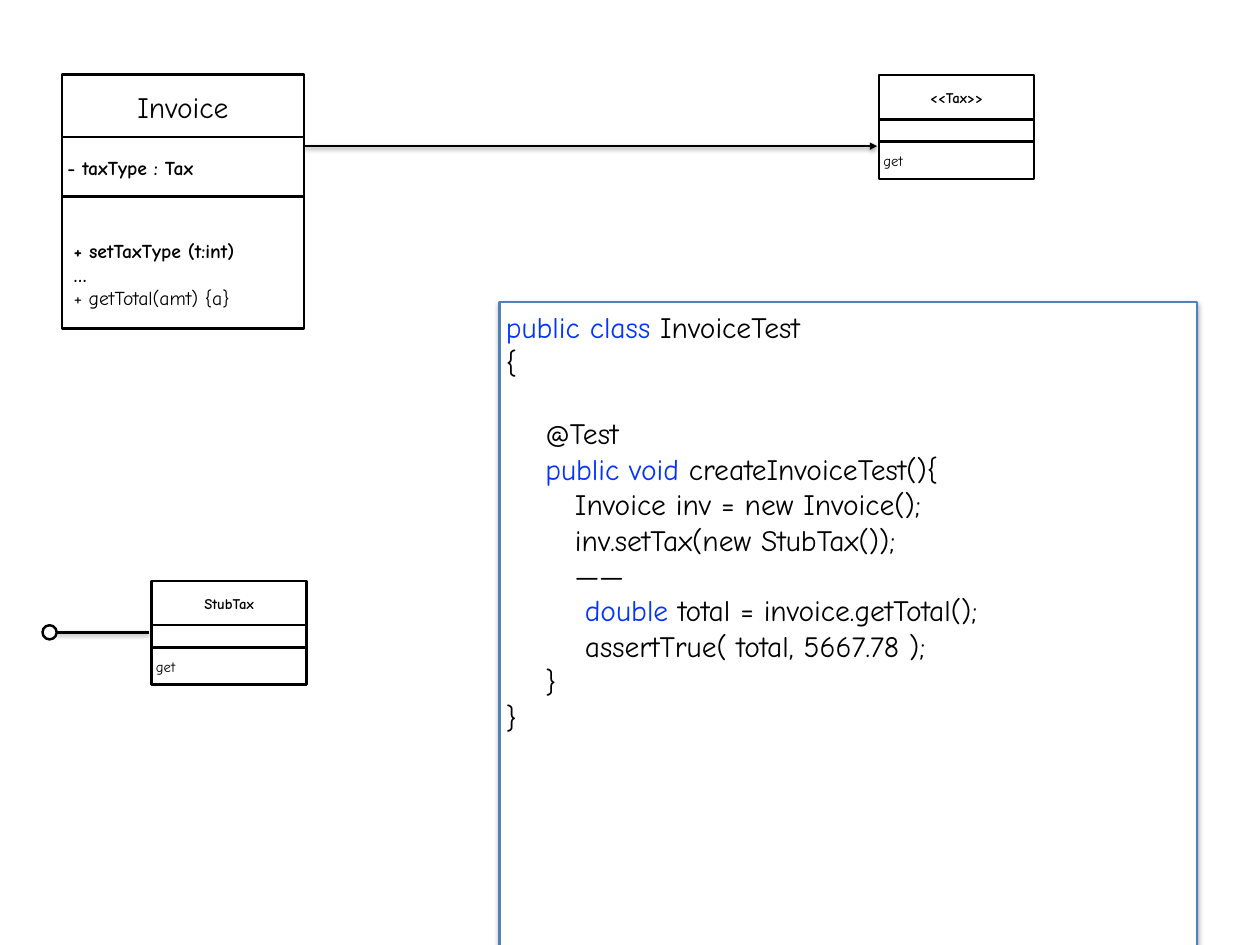
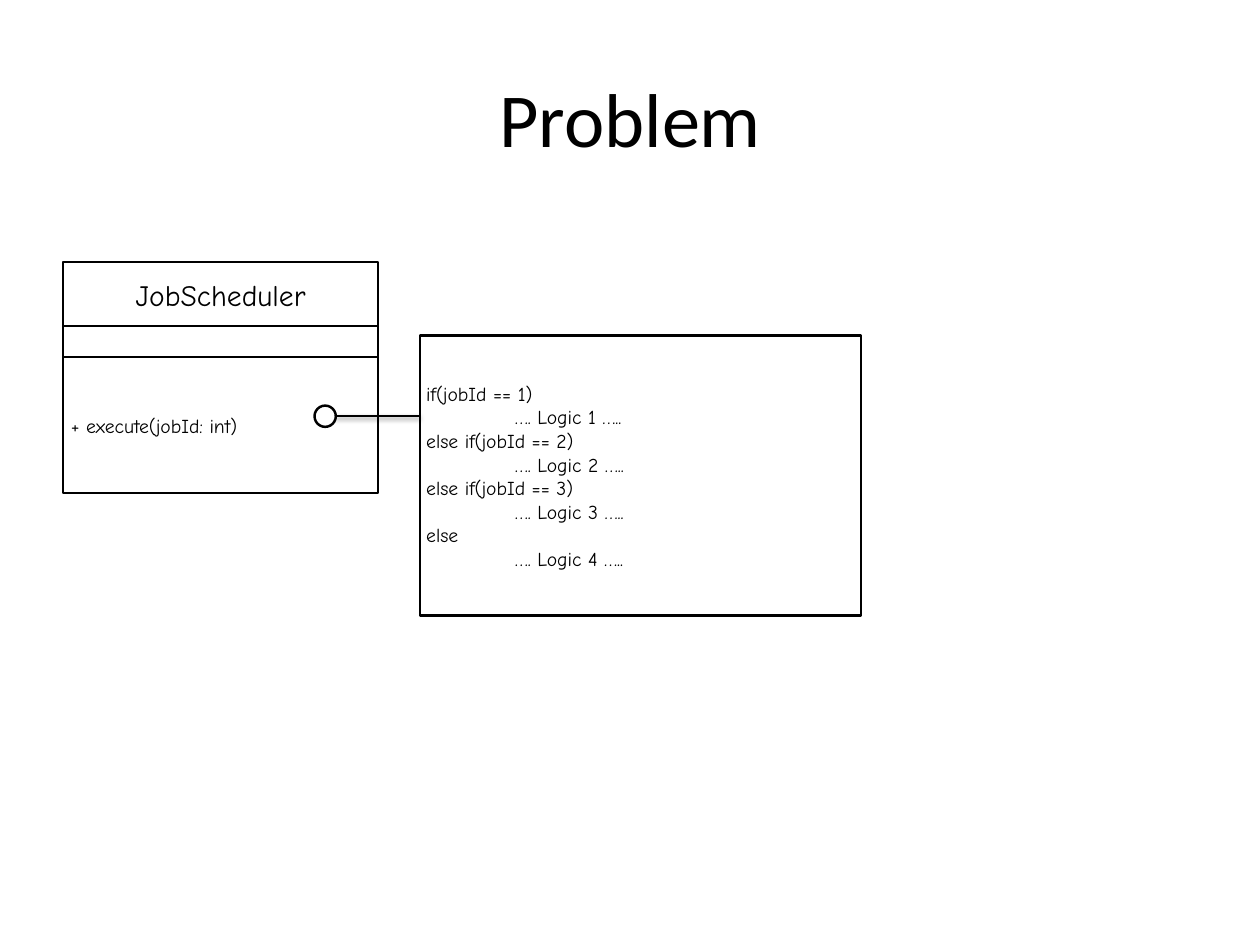
from collections import namedtuple

from pptx import Presentation
from pptx.dml.color import RGBColor
from pptx.enum.shapes import MSO_CONNECTOR, MSO_SHAPE
from pptx.enum.text import MSO_ANCHOR, PP_ALIGN
from pptx.oxml.ns import qn
from pptx.oxml.xmlchemy import OxmlElement
from pptx.util import Inches, Pt

BLACK, WHITE = "000000", "FFFFFF"
KEYWORD_BLUE, PANEL_BLUE = "0433FF", "4F81BD"
DIAGRAM_FONT, TITLE_FONT = "Comic Neue", "Calibri"
STROKE = Pt(2)
CODE_LINE = Pt(28.8)

Span = namedtuple("Span", "text color bold", defaults=(BLACK, False))
Row = namedtuple("Row", "height lines size inset_left inset_top",
                 defaults=((), 12, 0.06, 0.07))

TEST_CODE = [
    [Span("public class", KEYWORD_BLUE), Span(" InvoiceTest")],
    [Span("{")],
    [Span("    @Test")],
    [Span("    "), Span("public void", KEYWORD_BLUE), Span(" createInvoiceTest(){")],
    [Span("       Invoice inv = new Invoice();")],
    [Span("       inv.setTax(new StubTax());")],
    [Span("       ——")],
    [Span("        "), Span("double", KEYWORD_BLUE), Span(" total = invoice.getTotal();")],
    [Span("        assertTrue( total, 5667.78 );")],
    [Span("    }")],
    [Span("}")],
]


def rgb(color):
    return RGBColor.from_string(color)


def plain(*texts):
    return [[Span(text)] for text in texts]


def bold(*texts):
    return [[Span(text, bold=True)] for text in texts]


def write_lines(frame, lines, size, align=PP_ALIGN.LEFT, font=DIAGRAM_FONT):
    """Fill the frame with one paragraph for each list of spans."""
    for index, spans in enumerate(lines):
        para = frame.add_paragraph() if index else frame.paragraphs[0]
        para.alignment = align
        for span in spans:
            run = para.add_run()
            run.text = span.text
            run.font.name = font
            run.font.size = Pt(size)
            run.font.bold = span.bold
            run.font.color.rgb = rgb(span.color)


def set_tab_stop(para, position):
    stops = OxmlElement("a:tabLst")
    stop = OxmlElement("a:tab")
    stop.set("pos", str(Inches(position)))
    stop.set("algn", "l")
    stops.append(stop)
    para._p.get_or_add_pPr().append(stops)


def set_frame(frame, anchor, left=0.07, top=0.07):
    frame.word_wrap = True
    frame.vertical_anchor = anchor
    frame.margin_left, frame.margin_top = Inches(left), Inches(top)
    frame.margin_right = frame.margin_bottom = Inches(0.06)


def set_shadow(shape, blur, distance, opacity):
    """Give the shape a black shadow that falls straight down."""
    properties = shape._element.spPr
    effects = properties.find(qn("a:effectLst"))
    if effects is None:
        effects = OxmlElement("a:effectLst")
        properties.append(effects)
    shadow = OxmlElement("a:outerShdw")
    for name, value in (("blurRad", Pt(blur)), ("dist", Pt(distance)),
                        ("dir", 90 * 60000), ("rotWithShape", 0)):
        shadow.set(name, str(int(value)))
    color = OxmlElement("a:srgbClr")
    color.set("val", BLACK)
    alpha = OxmlElement("a:alpha")
    alpha.set("val", str(opacity * 1000))
    color.append(alpha)
    shadow.append(color)
    effects.append(shadow)


def add_outlined(page, left, top, width, height, line=BLACK, kind=MSO_SHAPE.RECTANGLE):
    shape = page.shapes.add_shape(
        kind, Inches(left), Inches(top), Inches(width), Inches(height))
    shape.shadow.inherit = False
    shape.fill.solid()
    shape.fill.fore_color.rgb = rgb(WHITE)
    shape.line.color.rgb = rgb(line)
    shape.line.width = STROKE
    return shape


def add_class(page, left, top, width, rows):
    """Stack the compartments of a class; the first one holds the centred name."""
    for index, row in enumerate(rows):
        box = add_outlined(page, left, top, width, row.height)
        if row.lines:
            set_frame(box.text_frame, MSO_ANCHOR.MIDDLE, row.inset_left, row.inset_top)
            align = PP_ALIGN.LEFT if index else PP_ALIGN.CENTER
            write_lines(box.text_frame, row.lines, row.size, align)
        top += row.height


def add_tax_class(page, left, top, name):
    add_class(page, left, top, 1.75,
              [Row(0.5, bold(name)), Row(0.25), Row(0.42, plain("get"), inset_left=0.05)])


def add_level_line(page, start, end, y, blur=4, distance=2):
    line = page.shapes.add_connector(
        MSO_CONNECTOR.STRAIGHT, Inches(start), Inches(y), Inches(end), Inches(y))
    line.line.color.rgb = rgb(BLACK)
    line.line.width = STROKE
    set_shadow(line, blur, distance, 38)
    return line


def add_arrow(page, start, end, y):
    arrow = add_level_line(page, start, end, y, blur=3, distance=1.6)
    tail = OxmlElement("a:tailEnd")
    tail.set("type", "triangle")
    arrow._element.spPr.find(qn("a:ln")).append(tail)


def add_lollipop(page, start, circle_left, y, size):
    """Draw a line leftwards from start to a small circle centred on y."""
    add_level_line(page, start, circle_left + size, y)
    add_outlined(page, circle_left, y - size / 2, size, size, kind=MSO_SHAPE.OVAL)


def add_code_panel(page):
    panel = add_outlined(page, 5.64, 3.41, 7.87, 7.46, PANEL_BLUE)
    set_shadow(panel, 4, 2, 35)
    set_frame(panel.text_frame, MSO_ANCHOR.TOP, top=0.08)
    write_lines(panel.text_frame, TEST_CODE, 24)
    panel.text_frame.paragraphs[2].space_before = CODE_LINE


def add_logic_note(page):
    conditions = ["if(jobId == 1)", "else if(jobId == 2)", "else if(jobId == 3)", "else"]
    lines = []
    for number, condition in enumerate(conditions, 1):
        lines += plain(condition, f" \t…. Logic {number} …..")
    note = add_outlined(page, 4.74, 3.79, 4.98, 3.16)
    set_frame(note.text_frame, MSO_ANCHOR.MIDDLE)
    write_lines(note.text_frame, lines, 16)
    for para in note.text_frame.paragraphs[1::2]:
        set_tab_stop(para, 1)


def add_title(page, text):
    box = page.shapes.add_textbox(Inches(0.71), Inches(0.43), Inches(12.8), Inches(1.78))
    set_frame(box.text_frame, MSO_ANCHOR.MIDDLE)
    write_lines(box.text_frame, plain(text), 62, PP_ALIGN.CENTER, TITLE_FONT)


def build_invoice_page(page):
    methods = bold("+ setTaxType (t:int)", "…") + plain("+ getTotal(amt) {a}")
    add_class(page, 0.7, 0.84, 2.73, [
        Row(0.71, plain("Invoice"), 24),
        Row(0.67, bold("- taxType : Tax"), 16),
        Row(1.49, methods, 16, inset_left=0.13, inset_top=0.32),
    ])
    add_tax_class(page, 9.92, 0.85, "<<Tax>>")
    add_arrow(page, 3.44, 9.9, 1.65)
    add_code_panel(page)
    add_tax_class(page, 1.71, 6.56, "StubTax")
    add_lollipop(page, 1.68, 0.48, 7.14, 0.16)


def build_scheduler_page(page):
    add_class(page, 0.71, 2.96, 3.56, [
        Row(0.72, plain("JobScheduler"), 24),
        Row(0.35),
        Row(1.54, plain("+ execute(jobId: int)"), 16, inset_left=0.09),
    ])
    add_logic_note(page)
    add_lollipop(page, 4.74, 3.55, 4.7, 0.24)
    add_title(page, "Problem")


def main():
    deck = Presentation()
    deck.slide_width, deck.slide_height = Inches(14.22), Inches(10.67)
    for build in (build_invoice_page, build_scheduler_page):
        build(deck.slides.add_slide(deck.slide_layouts[6]))
    deck.save("out.pptx")


if __name__ == "__main__":
    main()
